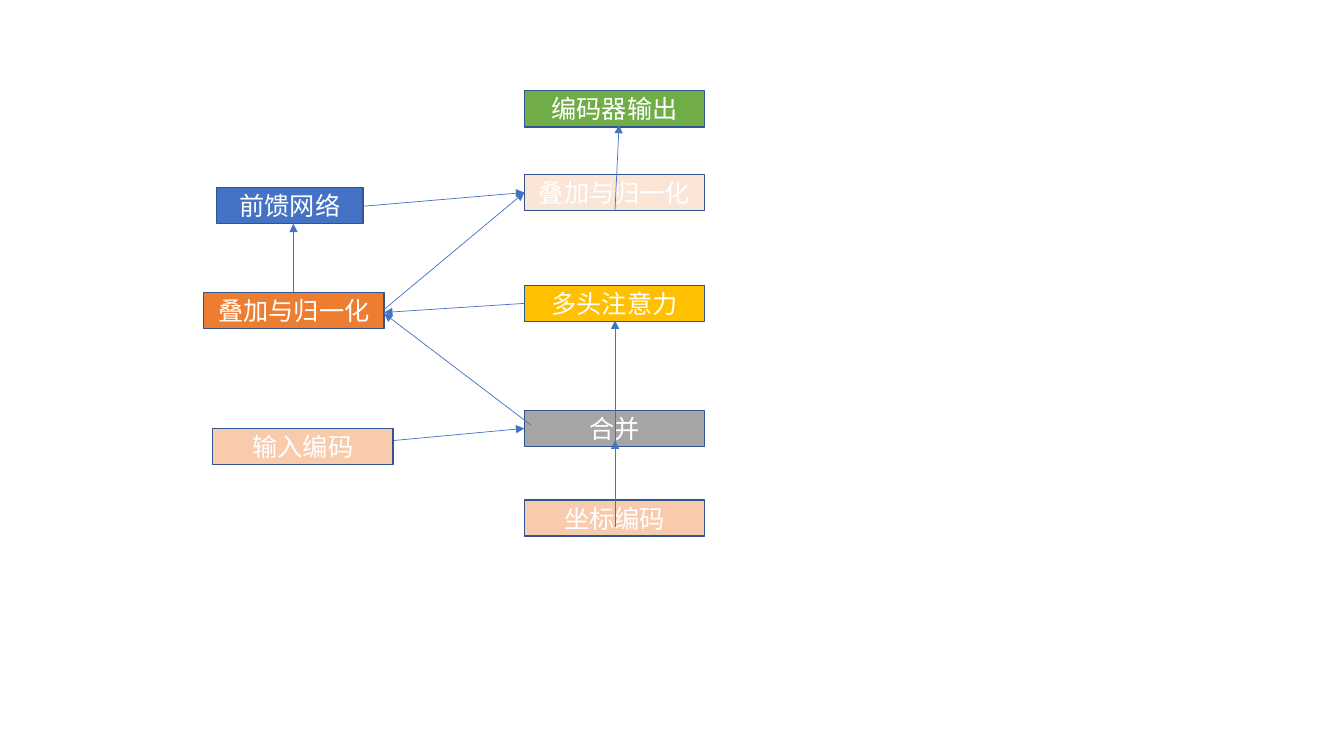
from dataclasses import dataclass

from lxml import etree
from pptx import Presentation
from pptx import util as u
from pptx.dml.color import RGBColor
from pptx.enum import shapes, text
from pptx.oxml.ns import qn

FONT = "Noto Sans CJK SC"
BLUE, OUTLINE, WHITE = "4472C4", "325491", "FFFFFF"
BOX_HEIGHT = 0.36
RIGHT_COLUMN = 5.2


@dataclass
class Block:
    label: str
    left: float
    top: float
    fill: str
    width: float = 1.79


@dataclass
class Arrow:
    start: tuple[float, float]
    end: tuple[float, float]


BLOCKS = [
    # Left column
    Block("前馈网络", 2.15, 1.86, BLUE, width=1.45),
    Block("叠加与归一化", 2.02, 2.9, "ED7D31"),
    Block("输入编码", 2.11, 4.25, "F8CBAD"),
    # Right column
    Block("编码器输出", RIGHT_COLUMN, 0.9, "70AD47"),
    Block("叠加与归一化", RIGHT_COLUMN, 1.73, "FBE5D6"),
    Block("多头注意力", RIGHT_COLUMN, 2.83, "FFC000"),
    Block("合并", RIGHT_COLUMN, 4.07, "A5A5A5"),
    Block("坐标编码", RIGHT_COLUMN, 4.96, "F8CBAD"),
]

ARROWS = [
    # Upward flow
    Arrow((6.1, 5.23), (6.1, 4.37)),
    Arrow((6.1, 4.43), (6.1, 3.18)),
    Arrow((6.1, 2.08), (6.14, 1.24)),
    Arrow((2.91, 2.9), (2.91, 2.22)),
    # Flow between the columns
    Arrow((3.91, 4.37), (RIGHT_COLUMN, 4.25)),
    Arrow((5.27, 4.22), (3.81, 3.11)),
    Arrow((RIGHT_COLUMN, 3.01), (3.81, 3.1)),
    Arrow((3.56, 2.05), (RIGHT_COLUMN, 1.91)),
    Arrow((3.81, 3.07), (RIGHT_COLUMN, 1.91)),
]


def color(value: str) -> RGBColor:
    return RGBColor.from_string(value)


def draw_block(slide, block: Block) -> None:
    shape = slide.shapes.add_shape(
        shapes.MSO_SHAPE.RECTANGLE, u.Inches(block.left), u.Inches(block.top),
        u.Inches(block.width), u.Inches(BOX_HEIGHT))
    shape.shadow.inherit = False
    shape.fill.solid()
    shape.fill.fore_color.rgb = color(block.fill)
    shape.line.color.rgb = color(OUTLINE)
    shape.line.width = u.Pt(1)

    frame = shape.text_frame
    frame.text = block.label
    frame.word_wrap = True
    frame.vertical_anchor = text.MSO_ANCHOR.MIDDLE
    paragraph = frame.paragraphs[0]
    paragraph.alignment = text.PP_ALIGN.CENTER
    font = paragraph.runs[0].font
    font.name = FONT
    font.size = u.Pt(18)
    font.color.rgb = color(WHITE)
    # Chinese characters take the East Asian font
    properties = paragraph.runs[0]._r.get_or_add_rPr()
    etree.SubElement(properties, qn("a:ea"), typeface=FONT)


def draw_arrow(slide, arrow: Arrow) -> None:
    points = [u.Inches(value) for value in (*arrow.start, *arrow.end)]
    connector = slide.shapes.add_connector(shapes.MSO_CONNECTOR.STRAIGHT, *points)
    connector.line.color.rgb = color(BLUE)
    connector.line.width = u.Pt(0.5)
    # Arrowhead, and no shadow
    etree.SubElement(connector.line._get_or_add_ln(), qn("a:tailEnd"), type="triangle")
    etree.SubElement(connector._element.spPr, qn("a:effectLst"))


presentation = Presentation()
presentation.slide_width = u.Inches(13.33)
presentation.slide_height = u.Inches(7.5)
slide = presentation.slides.add_slide(presentation.slide_layouts[6])

for block in BLOCKS:
    draw_block(slide, block)
for arrow in ARROWS:
    draw_arrow(slide, arrow)

presentation.save("out.pptx")
